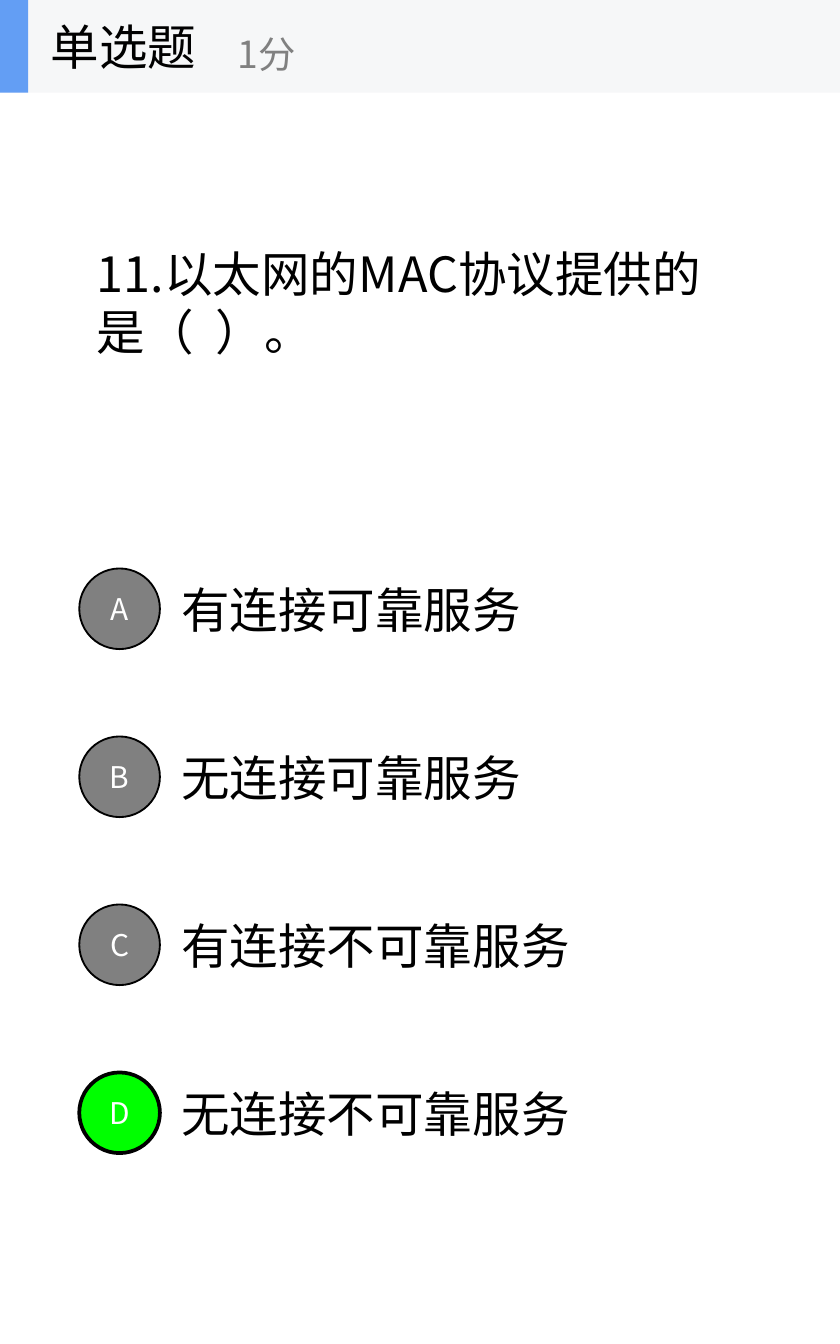
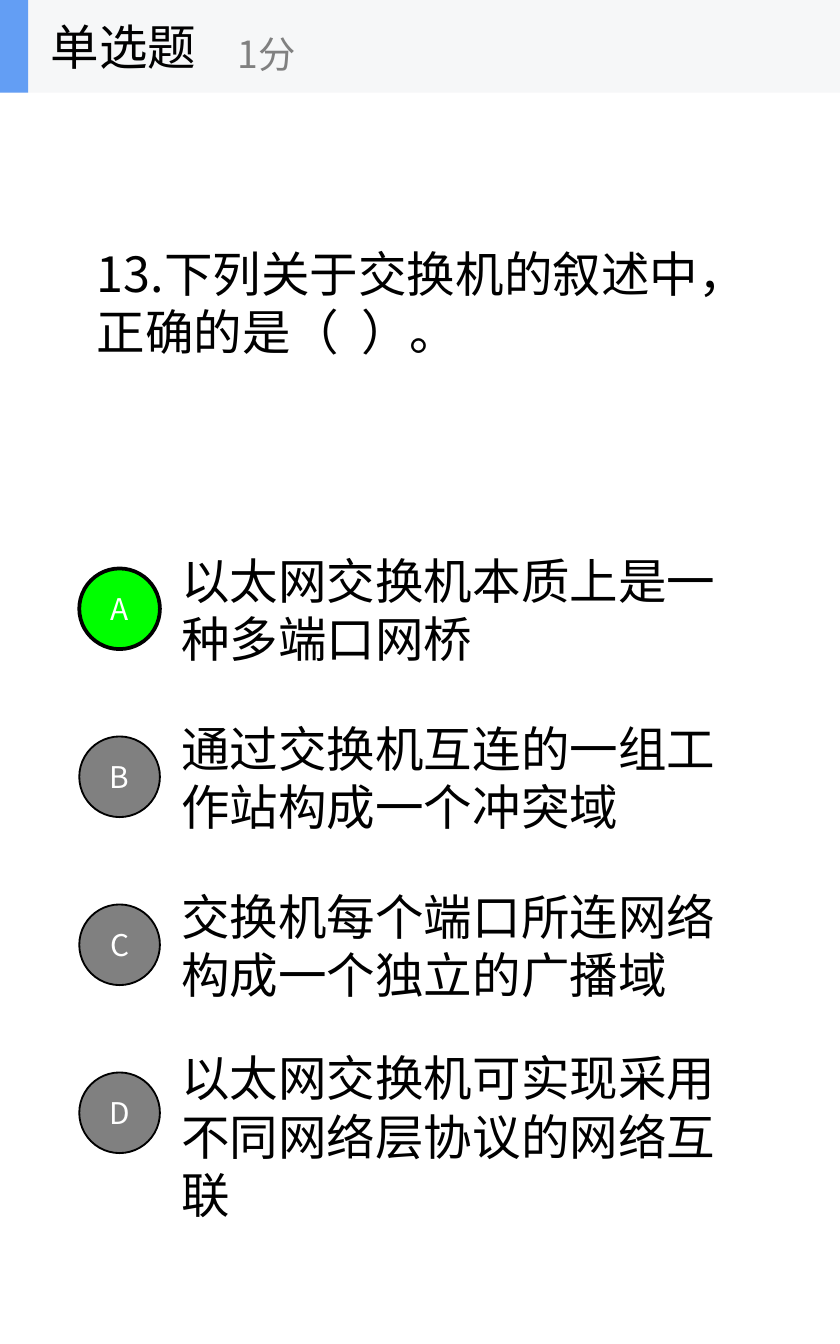
"""Build two single-choice quiz slides with a shared header band."""
from math import ceil

from lxml import etree
from pptx import Presentation
from pptx.dml.color import RGBColor
from pptx.enum.shapes import MSO_SHAPE
from pptx.enum.text import MSO_ANCHOR, MSO_AUTO_SIZE, PP_ALIGN
from pptx.oxml.ns import qn
from pptx.util import Inches, Pt

RECTANGLE, OVAL = MSO_SHAPE.RECTANGLE, MSO_SHAPE.OVAL
MIDDLE, NO_AUTOFIT = MSO_ANCHOR.MIDDLE, MSO_AUTO_SIZE.NONE
LEFT, CENTER = PP_ALIGN.LEFT, PP_ALIGN.CENTER

FONT = "Noto Sans CJK SC"
BLACK = RGBColor(0x00, 0x00, 0x00)
WHITE = RGBColor(0xFF, 0xFF, 0xFF)
GRAY = RGBColor(0x80, 0x80, 0x80)
GREEN = RGBColor(0x00, 0xFF, 0x00)
BAND = RGBColor(0xF6, 0xF7, 0xF8)
ACCENT = RGBColor(0x63, 0x9E, 0xF4)

QUESTION_KIND = "单选题"
SCORE = "1分"
QUESTIONS = [
    {
        "question": "11.以太网的MAC协议提供的是（  ）。",
        "options": [
            "有连接可靠服务",
            "无连接可靠服务",
            "有连接不可靠服务",
            "无连接不可靠服务",
        ],
        "answer": "D",
    },
    {
        "question": "13.下列关于交换机的叙述中，正确的是（  ）。",
        "options": [
            "以太网交换机本质上是一种多端口网桥",
            "通过交换机互连的一组工作站构成一个冲突域",
            "交换机每个端口所连网络构成一个独立的广播域",
            "以太网交换机可实现采用不同网络层协议的网络互联",
        ],
        "answer": "A",
    },
]

SLIDE_WIDTH, SLIDE_HEIGHT = 6.25, 10
BAND_HEIGHT = 0.69
OPTION_TOP, OPTION_STEP = 4.06, 1.25
OPTION_HEIGHT, TALL_OPTION_HEIGHT = 0.94, 1.28
CHARS_PER_LINE = 11
BADGE_SIZE = 0.6


def inches(*lengths):
    return [Inches(length) for length in lengths]


def write(shape, text, size=26, color=BLACK, align=LEFT, wrap=True):
    frame = shape.text_frame
    frame.auto_size = NO_AUTOFIT
    frame.word_wrap = wrap
    frame.vertical_anchor = MIDDLE
    paragraph = frame.paragraphs[0]
    paragraph.alignment = align
    run = paragraph.add_run()
    run.text = text
    run.font.size = Pt(size)
    run.font.color.rgb = color
    run.font.name = FONT
    properties = run.font._element
    properties.set("lang", "zh-CN")
    etree.SubElement(properties, qn("a:ea")).set("typeface", FONT)


def add_filled(shapes, preset, box, fill, line_width=0):
    shape = shapes.add_shape(preset, *inches(*box))
    shape.shadow.inherit = False
    shape.fill.solid()
    shape.fill.fore_color.rgb = fill
    if line_width:
        shape.line.color.rgb = BLACK
        shape.line.width = Pt(line_width)
    else:
        shape.line.fill.background()
    return shape


def add_question(slide, question):
    title = slide.shapes.title
    title.left, title.top, title.width, title.height = inches(0.62, BAND_HEIGHT, 5, 3.12)
    write(title, question)


def add_options(slide, options, answer):
    tops = [OPTION_TOP + OPTION_STEP * row for row in range(len(options))]
    for option, top in zip(options, tops):
        line_count = ceil(len(option) / CHARS_PER_LINE)
        height = TALL_OPTION_HEIGHT if line_count > 2 else OPTION_HEIGHT
        write(slide.shapes.add_textbox(*inches(1.25, top, 4.38, height)), option)
    for letter, top in zip("ABCD", tops):
        correct = letter == answer
        badge_top = top + (OPTION_HEIGHT - BADGE_SIZE) / 2
        badge = add_filled(
            slide.shapes, OVAL, (0.59, badge_top, BADGE_SIZE, BADGE_SIZE),
            GREEN if correct else GRAY, line_width=2 if correct else 1,
        )
        write(badge, letter, size=16, color=WHITE, align=CENTER)


def add_header(slide):
    header = slide.shapes.add_group_shape().shapes
    add_filled(header, RECTANGLE, (0, 0, SLIDE_WIDTH, BAND_HEIGHT), BAND)
    add_filled(header, RECTANGLE, (0, 0, 0.21, BAND_HEIGHT), ACCENT)
    kind = header.add_textbox(*inches(0.28, 0, 2.08, BAND_HEIGHT))
    write(kind, QUESTION_KIND, wrap=False)
    score = header.add_textbox(*inches(1.67, 0.12, 2.5, 0.56))
    write(score, SCORE, size=20, color=GRAY, wrap=False)


def main():
    deck = Presentation()
    deck.slide_width, deck.slide_height = inches(SLIDE_WIDTH, SLIDE_HEIGHT)
    title_only = deck.slide_layouts.get_by_name("Title Only")
    for item in QUESTIONS:
        slide = deck.slides.add_slide(title_only)
        add_question(slide, item["question"])
        add_options(slide, item["options"], item["answer"])
        add_header(slide)
    deck.save("out.pptx")


if __name__ == "__main__":
    main()
